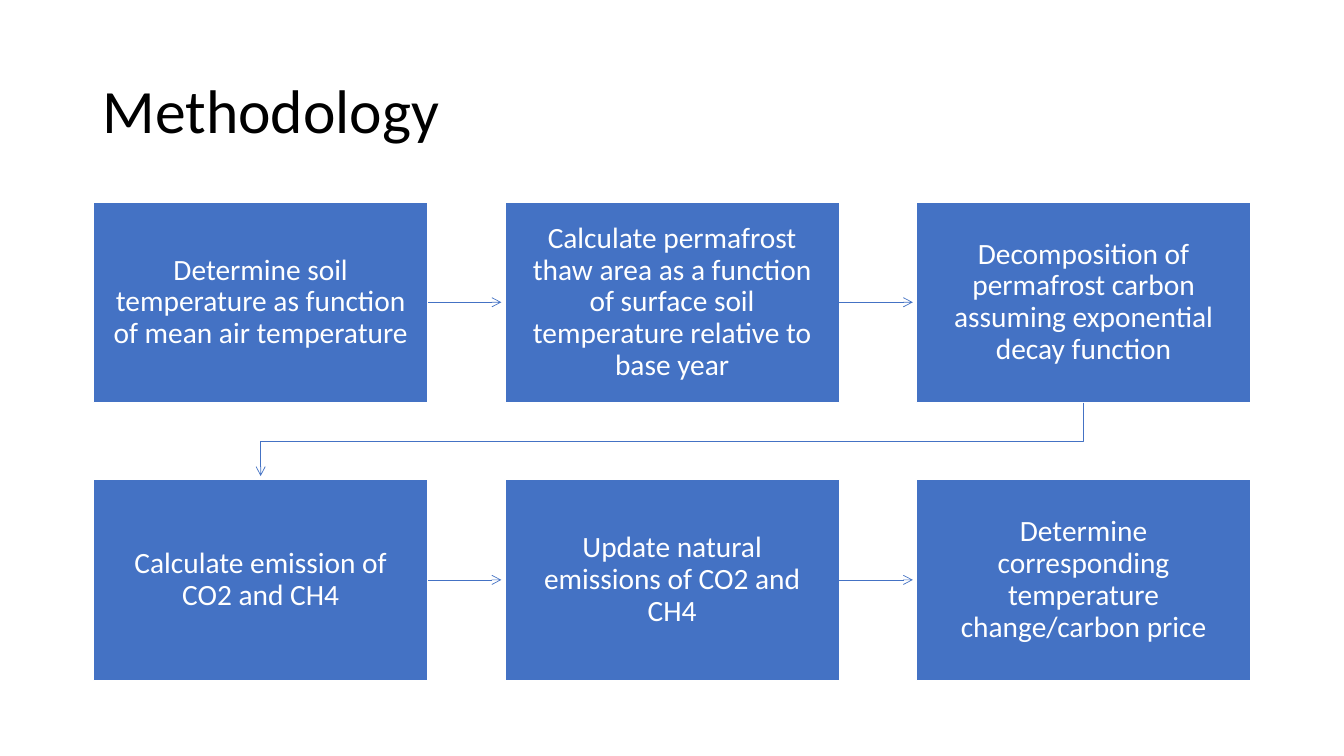
"""Build the Methodology slide: six steps in two rows joined by arrows."""
from lxml.etree import SubElement
from pptx import Presentation
from pptx.dml.color import RGBColor
from pptx.enum.shapes import MSO_CONNECTOR as CONN, MSO_SHAPE as SHAPE
from pptx.enum.text import MSO_ANCHOR as ANCHOR, MSO_AUTO_SIZE as AUTO, PP_ALIGN as ALIGN
from pptx.oxml.ns import qn
from pptx.util import Pt

BLUE = RGBColor(0x44, 0x72, 0xC4)
WHITE = RGBColor(0xFF, 0xFF, 0xFF)
BLACK = RGBColor(0x00, 0x00, 0x00)


def put_text(shape, text, size, color, align, inset_x, inset_y):
    frame = shape.text_frame
    frame.word_wrap = True
    frame.auto_size = AUTO.NONE
    frame.vertical_anchor = ANCHOR.MIDDLE
    frame.margin_left = frame.margin_right = Pt(inset_x)
    frame.margin_top = frame.margin_bottom = Pt(inset_y)
    para = frame.paragraphs[0]
    para.alignment = align
    para.line_spacing = 0.9
    run = para.add_run()
    run.text = text
    run.font.name = "Calibri"
    run.font.size = Pt(size)
    run.font.color.rgb = color


def style_arrow(arrow):
    arrow.line.color.rgb = BLUE
    arrow.line.width = Pt(0.5)
    props = arrow._element.spPr
    SubElement(props.find(qn("a:ln")), qn("a:tailEnd"), type="arrow")
    if props.find(qn("a:effectLst")) is None:
        SubElement(props, qn("a:effectLst"))


deck = Presentation()
deck.slide_width, deck.slide_height = Pt(960), Pt(540)
slide = deck.slides.add_slide(deck.slide_layouts[5])
shapes = slide.shapes

title = shapes.title
title.left, title.top, title.width, title.height = Pt(66), Pt(28.75), Pt(828), Pt(104.4)
put_text(title, "Methodology", size=44, color=BLACK, align=ALIGN.LEFT, inset_x=7.2, inset_y=3.6)

steps = [
    [
        "Determine soil temperature as function of mean air temperature",
        "Calculate permafrost thaw area as a function of surface soil temperature relative to base year",
        "Decomposition of permafrost carbon assuming exponential decay function",
    ],
    [
        "Calculate emission of CO2 and CH4",
        "Update natural emissions of CO2 and CH4",
        "Determine corresponding temperature change/carbon price",
    ],
]
left, top = 66.7, 144.2
wide, high = 239, 143.4
step_x, step_y = 293.9, 198.3
gap = step_x - wide
reach = 52.4

for row, texts in enumerate(steps):
    y = top + row * step_y
    for col, text in enumerate(texts):
        x = left + col * step_x
        box = shapes.add_shape(SHAPE.RECTANGLE, Pt(x), Pt(y), Pt(wide), Pt(high))
        box.shadow.inherit = False
        box.fill.solid()
        box.fill.fore_color.rgb = BLUE
        box.line.color.rgb = WHITE
        box.line.width = Pt(1)
        put_text(box, text, size=21, color=WHITE, align=ALIGN.CENTER, inset_x=11.5, inset_y=11.5)
        if col < len(texts) - 1:
            start, mid = x + wide, y + high / 2
            style_arrow(shapes.add_connector(CONN.STRAIGHT, Pt(start), Pt(mid), Pt(start + reach), Pt(mid)))

first = left + wide / 2
last = first + 2 * step_x
base = top + high
turn = base + gap / 2
path = shapes.build_freeform(Pt(last), Pt(base))
path.add_line_segments(
    [(Pt(last), Pt(turn)), (Pt(first), Pt(turn)), (Pt(first), Pt(base + reach))], close=False
)
bend = path.convert_to_shape()
bend.shadow.inherit = False
bend.fill.background()
style_arrow(bend)

deck.save("out.pptx")
